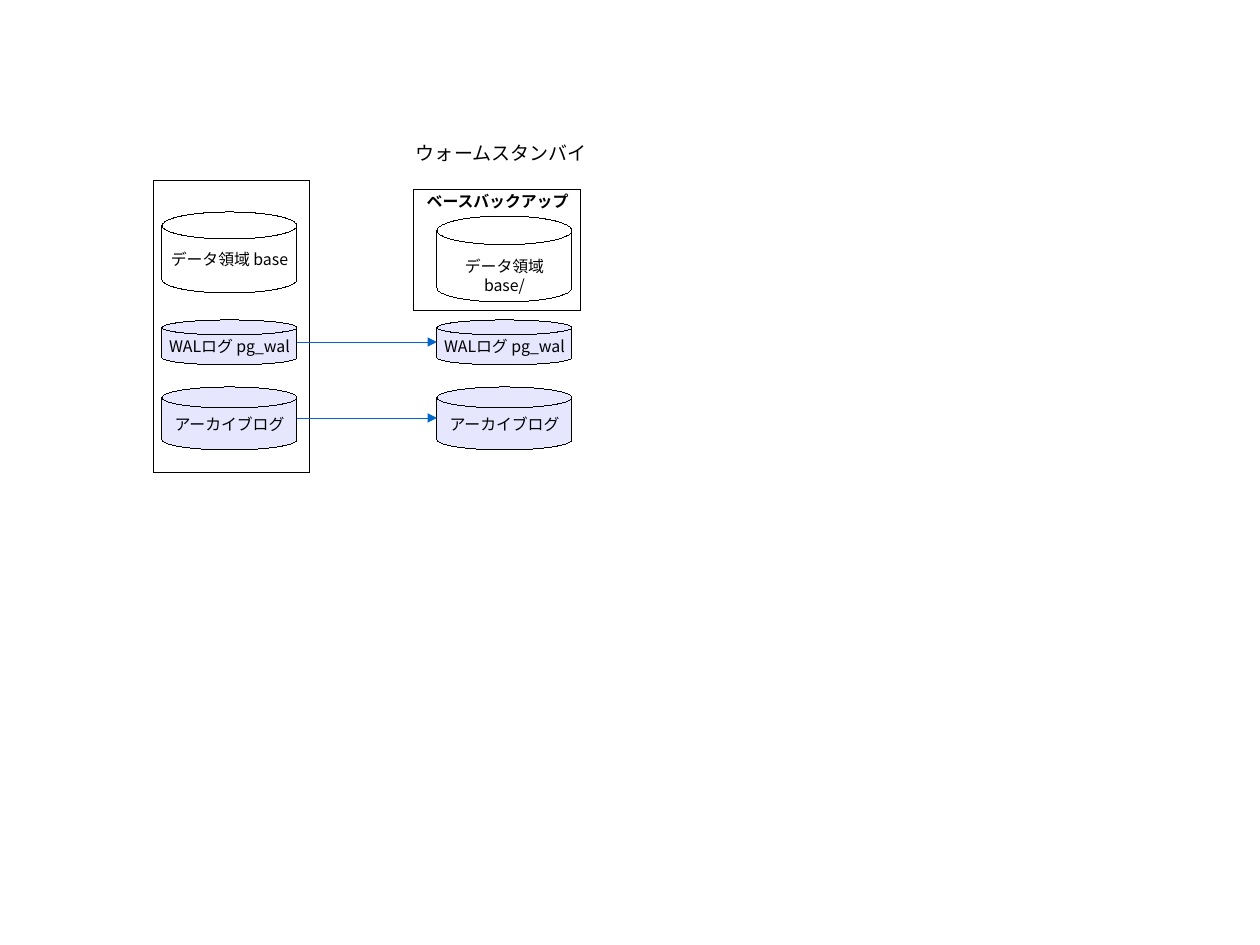
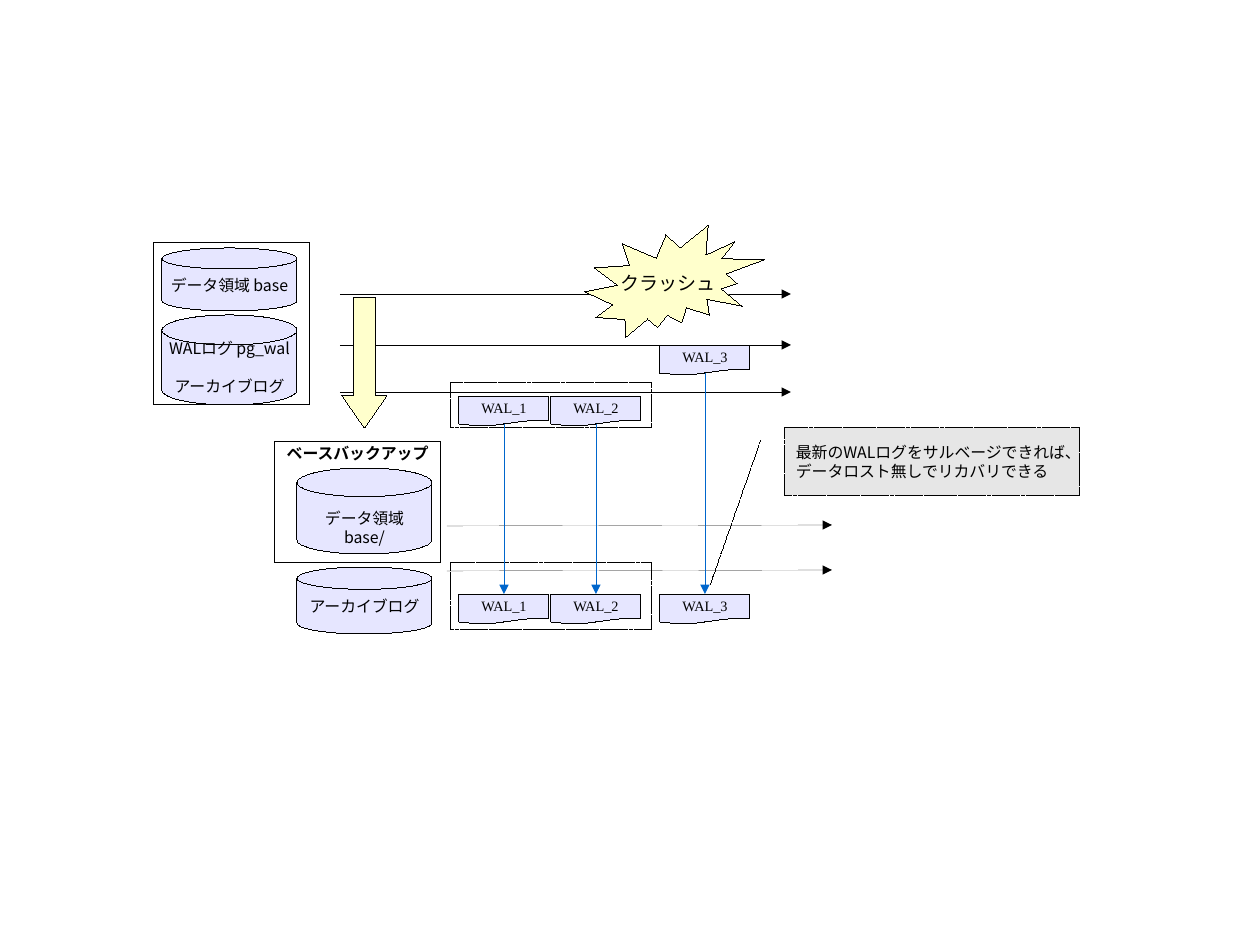
from dataclasses import dataclass

from lxml import etree
from pptx import Presentation
from pptx.dml.color import RGBColor
from pptx.enum.dml import MSO_LINE
from pptx.enum.shapes import MSO_CONNECTOR, MSO_SHAPE
from pptx.enum.text import MSO_ANCHOR, PP_ALIGN
from pptx.oxml.ns import qn
from pptx.util import Emu, Pt

PX = 8000  # EMU per px: the page is 1260 x 945 px
RECT, DISK = MSO_SHAPE.RECTANGLE, MSO_SHAPE.FLOWCHART_MAGNETIC_DISK
DOC, BURST = MSO_SHAPE.FLOWCHART_DOCUMENT, MSO_SHAPE.EXPLOSION2
DOWN, CALLOUT = MSO_SHAPE.DOWN_ARROW, MSO_SHAPE.LINE_CALLOUT_1
STRAIGHT, DASH = MSO_CONNECTOR.STRAIGHT, MSO_LINE.SQUARE_DOT
TOP, MIDDLE = MSO_ANCHOR.TOP, MSO_ANCHOR.MIDDLE
LEFT, CENTER = PP_ALIGN.LEFT, PP_ALIGN.CENTER


@dataclass(frozen=True)
class Theme:
    ink: str = "000000"
    paper: str = "FFFFFF"
    log: str = "E6E6FF"
    alert: str = "FFFFCC"
    note: str = "E6E6E6"
    ship: str = "0066CC"
    sans: str = "Noto Sans CJK JP"
    serif: str = "Times New Roman"
    title: int = 12
    body: int = 10
    small: int = 9


T = Theme()
DISK_W = 135
PRIMARY_W, PRIMARY_PAD = 157, 9
BASE_W, BASE_H, BASE_PAD = 167, 122, 23
DOC_W, DOC_H, DOC_STEP = 90, 30, 92
FRAME_W, FRAME_PAD = 202, 9
BASE, WAL, ARCHIVE = "データ領域 base", "WALログ pg_wal", "アーカイブログ"


def px(*values):
    return [Emu(v * PX) for v in values]


def rgb(color):
    return RGBColor.from_string(color)


def set_hairline(shape, color):
    shape.line.color.rgb = rgb(color)
    ln = shape._element.spPr.find(qn("a:ln"))
    ln.set("w", "0")  # line.width = 0 would fall back to the theme width
    return ln


def set_text(sp, lines, size=T.body, font=T.sans, bold=False, align=CENTER,
             anchor=MIDDLE, top=6, gap=0, wrap=False):
    tf = sp.text_frame
    side, above, below = px(11, top, 6)
    frame = dict(margin_left=side, margin_right=side, margin_top=above,
                 margin_bottom=below, vertical_anchor=anchor, word_wrap=wrap)
    for name, value in frame.items():
        setattr(tf, name, value)
    for i, line in enumerate(lines):
        p = tf.add_paragraph() if i else tf.paragraphs[0]
        p.alignment = align
        if i and gap:
            p.space_before = Pt(gap)
        r = p.add_run()
        r.text = line
        for name, value in dict(size=Pt(size), name=font, bold=bold).items():
            setattr(r.font, name, value)
        r.font.color.rgb = rgb(T.ink)
        ea = etree.SubElement(r._r.get_or_add_rPr(), qn("a:ea"))
        ea.set("typeface", font)


def add_box(s, kind, x, y, w, h, fill=None, lines=(), dash=None, adj=(), **fmt):
    sp = s.shapes.add_shape(kind, *px(x, y, w, h))
    sp.shadow.inherit = False
    if fill:
        sp.fill.solid()
        sp.fill.fore_color.rgb = rgb(fill)
    else:
        sp.fill.background()
    set_hairline(sp, T.ink)
    if dash:
        sp.line.dash_style = dash
    for i, value in enumerate(adj):
        sp.adjustments[i] = value
    if lines:
        set_text(sp, lines, **fmt)


def add_arrow(s, x1, y1, x2, y2, color=T.ink):
    cx = s.shapes.add_connector(STRAIGHT, *px(x1, y1, x2, y2))
    tail = etree.SubElement(set_hairline(cx, color), qn("a:tailEnd"))
    tail.set("type", "triangle")
    etree.SubElement(cx._element.spPr, qn("a:effectLst"))


def add_disk(s, x, y, h, lines, fill=T.log, **fmt):
    add_box(s, DISK, x, y, DISK_W, h, fill, lines, **fmt)


def add_primary(s, x, y, h, disks):
    """Server frame; each disk is (offset, height, lines, fill)."""
    add_box(s, RECT, x, y, PRIMARY_W, h)
    for dy, disk_h, lines, fill in disks:
        add_disk(s, x + PRIMARY_PAD, y + dy, disk_h, lines, fill, gap=12)


def add_base_backup(s, x, y, fill):
    add_box(s, RECT, x, y, BASE_W, BASE_H, lines=["ベースバックアップ"],
            bold=True, anchor=TOP, top=3, wrap=True)
    add_disk(s, x + BASE_PAD, y + 27, 86, ["データ領域", "base/"], fill, top=25)


def add_wal(s, x, y, number):
    add_box(s, DOC, x, y, DOC_W, DOC_H, T.log, [f"WAL_{number}"],
            size=T.small, font=T.serif)


def add_wal_frame(s, x, y, h, dy):
    """Dashed frame around the two archived segments."""
    add_box(s, RECT, x, y, FRAME_W, h, dash=DASH)
    for i in range(2):
        add_wal(s, x + FRAME_PAD + DOC_STEP * i, y + dy, i + 1)


def warm_standby(s, x, y):
    # Both servers hold the same two log disks
    logs = [(140, 45, [WAL], T.log), (207, 63, [ARCHIVE], T.log)]
    add_primary(s, x, y, 293, [(32, 81, [BASE], T.paper)] + logs)
    start, standby = x + PRIMARY_PAD + DISK_W, x + 284
    add_base_backup(s, standby - BASE_PAD, y + 9, T.paper)
    for dy, h, lines, fill in logs:
        add_disk(s, standby, y + dy, h, lines, fill)
        mid = y + dy + h // 2
        add_arrow(s, start, mid, standby, mid, T.ship)
    # Heading over the standby server
    sp = s.shapes.add_textbox(*px(x + 252, y - 45, 194, 39))
    set_text(sp, ["ウォームスタンバイ"], size=T.title, align=LEFT, anchor=TOP)


def crash_recovery(s, x, y):
    # Time lines of the primary and of the backup
    for dy in (51, 102, 149):
        add_arrow(s, x + 187, y + dy, x + 638, y + dy)
    for dy in (283, 328):
        add_arrow(s, x + 294, y + dy, x + 679, y + dy - 1)

    # Servers
    add_primary(s, x, y, 162, [(5, 63, [BASE], T.log),
                               (72, 90, [WAL, ARCHIVE], T.log)])
    add_base_backup(s, x + 121, y + 198, T.log)
    add_disk(s, x + 121 + BASE_PAD, y + 324, 67, [ARCHIVE])

    # Backup arrow and crash
    add_box(s, DOWN, x + 189, y + 54, 45, 131, T.alert, adj=(0.5, 0.725))
    add_box(s, BURST, x + 432, y - 18, 180, 112, T.alert, ["クラッシュ"],
            size=T.title)

    # WAL segments and their shipping
    frame_x, last_x = x + 297, x + 507
    archived_y, last_y, stored_y = y + 153, y + 102, y + 351
    add_wal_frame(s, frame_x, y + 140, 45, archived_y - y - 140)
    add_wal_frame(s, frame_x, y + 320, 67, stored_y - y - 320)
    for wal_y in (last_y, stored_y):
        add_wal(s, last_x, wal_y, 3)
    first_x = frame_x + FRAME_PAD
    for doc_x, doc_y in ((first_x, archived_y),
                         (first_x + DOC_STEP, archived_y), (last_x, last_y)):
        mid = doc_x + DOC_W // 2
        add_arrow(s, mid, doc_y + DOC_H - 2, mid, stored_y, T.ship)

    # Note on salvaging the newest segment
    add_box(s, CALLOUT, x + 632, y + 185, 295, 67, T.note,
            ["最新のWALログをサルベージできれば、",
             "データロスト無しでリカバリできる"],
            dash=DASH, adj=(0.188, -0.083, 2.336, -0.253), align=LEFT)


def main():
    prs = Presentation()
    prs.slide_width, prs.slide_height = px(1260, 945)
    blank = prs.slide_layouts[6]
    for build, x, y in ((warm_standby, 153, 180), (crash_recovery, 153, 243)):
        build(prs.slides.add_slide(blank), x, y)
    prs.save("out.pptx")


if __name__ == "__main__":
    main()
